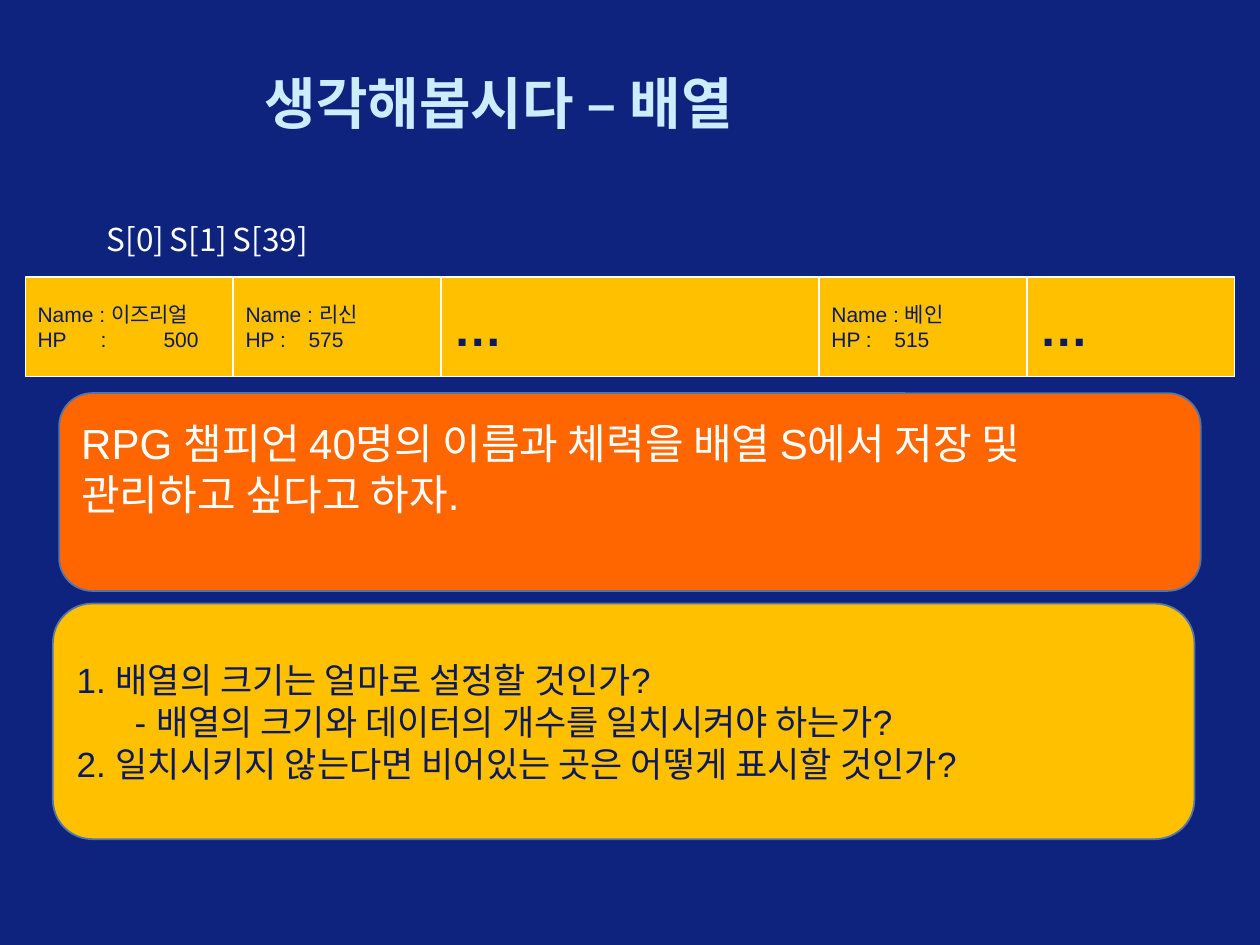
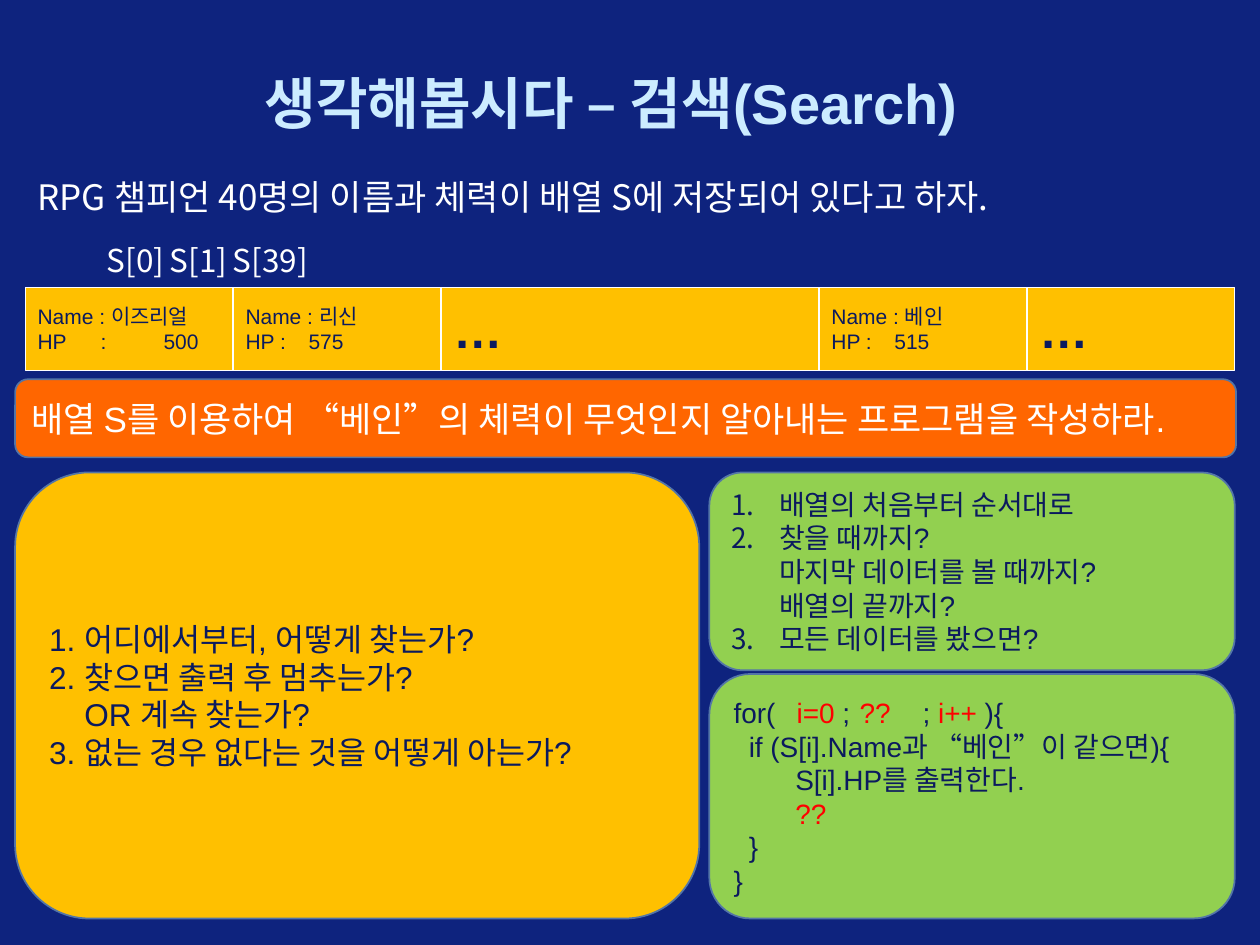
from lxml import etree
from pptx import Presentation
from pptx.dml.color import RGBColor
from pptx.enum.shapes import MSO_SHAPE
from pptx.enum.text import MSO_ANCHOR, MSO_AUTO_SIZE, PP_ALIGN
from pptx.oxml.ns import qn
from pptx.util import Inches, Pt

RECTANGLE, ROUNDED = MSO_SHAPE.RECTANGLE, MSO_SHAPE.ROUNDED_RECTANGLE
TOP, MIDDLE = MSO_ANCHOR.TOP, MSO_ANCHOR.MIDDLE
LEFT = PP_ALIGN.LEFT
NO_AUTOFIT = MSO_AUTO_SIZE.NONE
TITLE_ONLY = 5

SLIDE_WIDTH, SLIDE_HEIGHT = Inches(10), Inches(7.5)
NAVY, INK, ICE, WHITE = "0E237E", "0B1A5E", "CCECFF", "FFFFFF"
ORANGE, AMBER, GREEN, RED = "FF6600", "FFC000", "92D050", "FF0000"
OUTLINE = "5375A7"
LATIN, KOREAN = "Arial", "Noto Sans CJK KR"

TITLE_FORMAT = {"size": 32, "color": ICE, "bold": True}
CELL_FORMAT = {"size": 12, "color": INK}
DOTS_FORMAT = {"size": 28, "color": INK, "bold": True}
INDEX_FORMAT = {"size": 18, "color": WHITE, "name": KOREAN}
INTRO_FORMAT = {"size": 20, "color": WHITE, "name": KOREAN}

STRIP_LEFT = 2
NARROW, WIDE = 16.5, 30
NUMBER_TABS = (0.41,)
DOTS = ["…"]
ARRAY_CELLS = [
    (NARROW, ["Name : 이즈리얼", {"text": "HP\t:\t500", "tabs": (0.37, 0.5)}], CELL_FORMAT),
    (NARROW, ["Name : 리신", {"text": "HP :\t575", "tabs": NUMBER_TABS}], CELL_FORMAT),
    (WIDE, DOTS, DOTS_FORMAT),
    (NARROW, ["Name : 베인", {"text": "HP :\t515", "tabs": NUMBER_TABS}], CELL_FORMAT),
    (NARROW, DOTS, DOTS_FORMAT),
]


def rgb(color):
    return RGBColor.from_string(color)


def place(left, top, width, height):
    """Turn percentages of the slide's size into lengths."""
    return [int(share * full / 100) for share, full in
            zip((left, top, width, height), (SLIDE_WIDTH, SLIDE_HEIGHT) * 2)]


def style_span(span, size, color, bold=False, name=LATIN):
    values = {"size": Pt(size), "bold": bold, "name": name}
    for key, value in values.items():
        setattr(span.font, key, value)
    span.font.color.rgb = rgb(color)
    etree.SubElement(span.font._element, qn("a:ea"), typeface=KOREAN)


def layout_para(para, indent=0, number=None, tabs=()):
    """Set the indent, the automatic number and the tab stops, in inches."""
    para.alignment = LEFT
    props = para._p.get_or_add_pPr()
    hanging = -indent if number else 0
    props.set("marL", str(Inches(indent)))
    props.set("indent", str(Inches(hanging)))
    if number:
        etree.SubElement(props, qn("a:buFont"), typeface=KOREAN)
        bullet = etree.SubElement(props, qn("a:buAutoNum"), type="arabicPeriod")
        if number > 1:
            bullet.set("startAt", str(number))
    else:
        etree.SubElement(props, qn("a:buNone"))
    if tabs:
        stops = etree.SubElement(props, qn("a:tabLst"))
        for stop in tabs:
            etree.SubElement(stops, qn("a:tab"), pos=str(Inches(stop)), algn="l")


def write(box, lines, text_format, anchor=MIDDLE, wrap=True, bottom=0.05):
    """Fill a box; a line is a string or a dict, its text a string or (text, color) spans."""
    frame = box.text_frame
    values = {"auto_size": NO_AUTOFIT, "word_wrap": wrap, "vertical_anchor": anchor,
              "margin_bottom": Inches(bottom)}
    for key, value in values.items():
        setattr(frame, key, value)
    for position, line in enumerate(lines):
        para = frame.add_paragraph() if position else frame.paragraphs[0]
        options = {"text": line} if isinstance(line, str) else dict(line)
        text = options.pop("text")
        layout_para(para, **options)
        spans = [(text, text_format["color"])] if isinstance(text, str) else text
        for words, color in spans:
            span = para.add_run()
            span.text = words
            style_span(span, **{**text_format, "color": color})


def add_box(shapes, kind, area, fill, line, line_width):
    box = shapes.add_shape(kind, *place(*area))
    box.shadow.inherit = False
    box.fill.solid()
    box.fill.fore_color.rgb = rgb(fill)
    box.line.color.rgb = rgb(line)
    box.line.width = Pt(line_width)
    return box


def add_panel(page, area, fill, lines, size, color=INK, bottom=0.05):
    panel = add_box(page.shapes, ROUNDED, area, fill, OUTLINE, 1)
    write(panel, lines, {"size": size, "color": color}, bottom=bottom)


def add_label(shapes, area, line, text_format, wrap):
    write(shapes.add_textbox(*place(*area)), [line], text_format, TOP, wrap)


def add_array(page, top, height, label_top, label_tabs):
    """Draw the array as a strip of cells with index labels above."""
    group = page.shapes.add_group_shape()
    left = STRIP_LEFT
    for width, lines, text_format in ARRAY_CELLS:
        cell = add_box(group.shapes, RECTANGLE, (left, top, width, height),
                       AMBER, WHITE, 0.75)
        write(cell, lines, text_format, wrap=False)
        left += width
    indexes = {"text": "S[0]\tS[1]\tS[39]", "tabs": label_tabs}
    add_label(group.shapes, (7.5, label_top, 91, 5), indexes, INDEX_FORMAT, True)


def add_page(deck, title):
    page = deck.slides.add_slide(deck.slide_layouts[TITLE_ONLY])
    page.background.fill.solid()
    page.background.fill.fore_color.rgb = rgb(NAVY)
    heading = page.shapes.title
    heading.left, heading.top, heading.width, heading.height = place(20, 6.67, 75.8, 8.27)
    write(heading, [title], TITLE_FORMAT)
    return page


def add_array_page(deck):
    page = add_page(deck, "생각해봅시다 – 배열")
    add_panel(page, (4.7, 41.6, 90.6, 20.93), ORANGE,
              ["RPG 챔피언 40명의 이름과 체력을 배열 S에서 저장 및 관리하고 싶다고 하자."],
              24, WHITE, bottom=0.43)
    add_array(page, 29.33, 10.53, 22.67, (0.84, 5.34))
    add_panel(page, (4.2, 63.87, 90.6, 24.93), AMBER, [
        "1. 배열의 크기는 얼마로 설정할 것인가?",
        {"text": "- 배열의 크기와 데이터의 개수를 일치시켜야 하는가?", "indent": 0.46},
        "2. 일치시키지 않는다면 비어있는 곳은 어떻게 표시할 것인가?",
    ], 20)


def add_search_page(deck):
    page = add_page(deck, "생각해봅시다 – 검색(Search)")
    add_label(page.shapes, (2, 17.87, 86, 10.27),
              "RPG 챔피언 40명의 이름과 체력이 배열 S에 저장되어 있다고 하자.",
              INTRO_FORMAT, True)
    add_panel(page, (1.2, 40.13, 96.9, 8.27), ORANGE,
              ["배열 S를 이용하여 “베인”의 체력이 무엇인지 알아내는 프로그램을 작성하라."],
              20, WHITE)
    add_array(page, 30.4, 8.8, 24.8, (0.84, 4.32))
    add_panel(page, (1.2, 50, 54.3, 47.2), AMBER, [
        "1. 어디에서부터, 어떻게 찾는가?",
        "2. 찾으면 출력 후 멈추는가?",
        {"text": "OR 계속 찾는가?", "indent": 0.28},
        "3. 없는 경우 없다는 것을 어떻게 아는가?",
    ], 18)
    answers = [("배열의 처음부터 순서대로", 1), ("찾을 때까지?", 2),
               ("마지막 데이터를 볼 때까지?", None), ("배열의 끝까지?", None),
               ("모든 데이터를 봤으면?", 3)]
    add_panel(page, (56.3, 50, 41.7, 20.93), GREEN,
              [{"text": text, "indent": 0.38, "number": number} for text, number in answers],
              16)
    loop_head = [("for(\t", INK), ("i=0 ", RED), (";\t", INK), ("??", RED),
                 ("\t; ", INK), ("i++", RED), (" ){", INK)]
    add_panel(page, (56.3, 71.33, 41.7, 25.87), GREEN, [
        {"text": loop_head, "tabs": (0.52, 1.06, 1.44)},
        {"text": "if (S[i].Name과 “베인”이 같으면){", "indent": 0.12},
        {"text": "S[i].HP를 출력한다.", "indent": 0.49},
        {"text": [("??", RED)], "indent": 0.49},
        {"text": "}", "indent": 0.12},
        "}",
    ], 16)


def main():
    deck = Presentation()
    deck.slide_width, deck.slide_height = SLIDE_WIDTH, SLIDE_HEIGHT
    add_array_page(deck)
    add_search_page(deck)
    deck.save("out.pptx")


if __name__ == "__main__":
    main()
